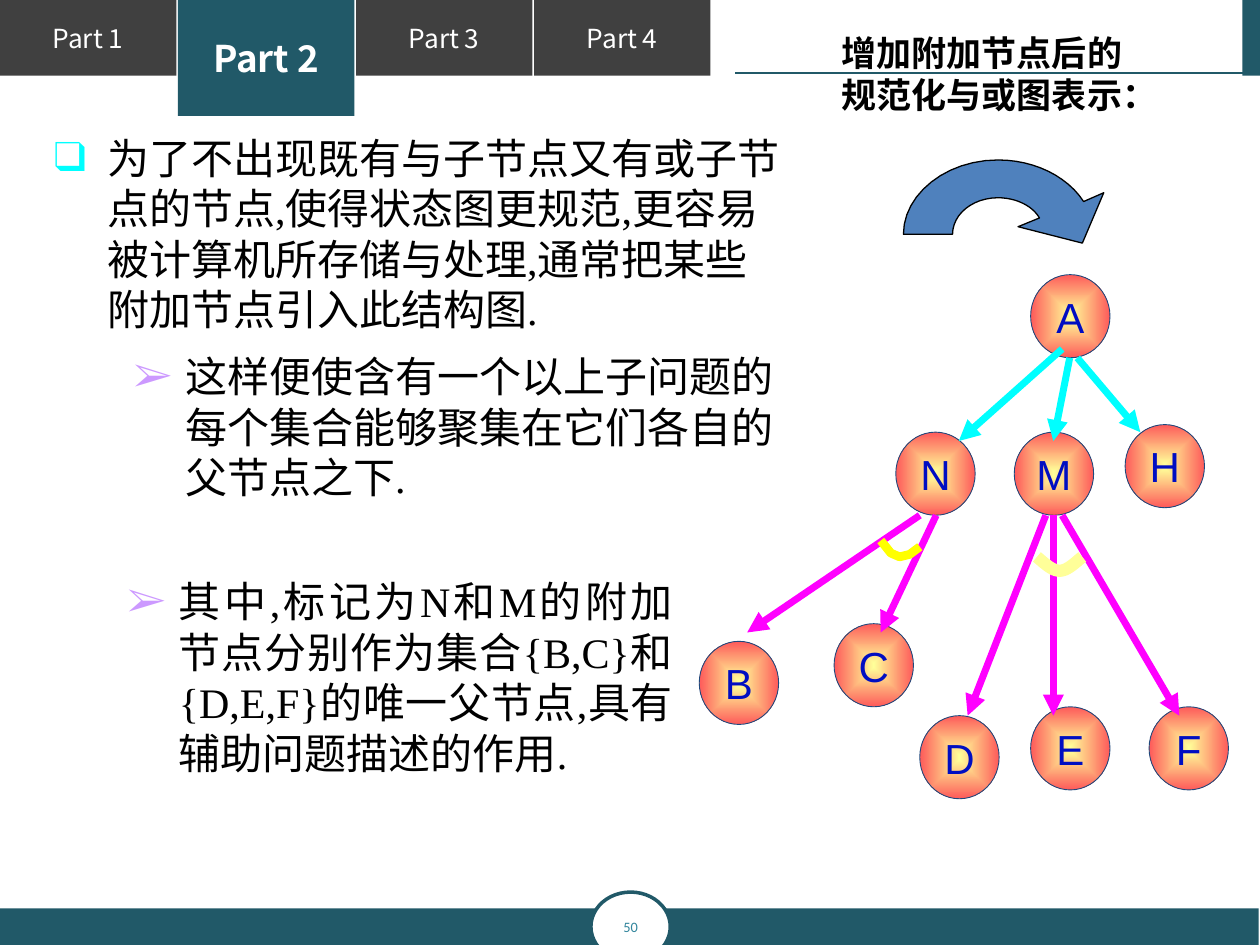
from lxml import etree
from pptx import Presentation
from pptx import util as u
from pptx.dml.color import RGBColor
from pptx.enum import shapes, text
from pptx.oxml.ns import qn

COLORS = {
    "teal": "215968", "gray": "404040", "white": "FFFFFF", "number": "31859C",
    "black": "000000", "cyan": "00FFFF", "violet": "CC99FF", "magenta": "FF00FF",
    "yellow": "FFFF00", "cream": "FFFF99", "coral": "FE5A5A", "navy": "1F497D",
    "label": "000EC2", "arrow": "4F81BD",
}
RGB = {name: RGBColor.from_string(value) for name, value in COLORS.items()}

prs = Presentation()
prs.slide_width, prs.slide_height = u.Inches(10), u.Inches(7.5)
COL = prs.slide_width / 100   # grid of 100 columns
ROW = prs.slide_height / 75   # and 75 rows
s = prs.slides.add_slide(prs.slide_layouts[3])


def add_box(kind, x, y, w, h, fill, label="", size=15, font="Noto Sans CJK SC", color="white"):
    """Add a flat preset shape, placed in columns and rows, with a centred label."""
    sp = s.shapes.add_shape(kind, int(x * COL), int(y * ROW), int(w * COL), int(h * ROW))
    sp.shadow.inherit = False
    sp.fill.solid()
    sp.fill.fore_color.rgb = RGB[fill]
    sp.line.fill.background()
    if label:
        tf = sp.text_frame
        tf.text = label
        tf.vertical_anchor = text.MSO_ANCHOR.MIDDLE
        p = tf.paragraphs[0]
        p.alignment = text.PP_ALIGN.CENTER
        f = p.runs[0].font
        f.size, f.name, f.color.rgb = u.Pt(size), font, RGB[color]
    return sp


def add_path(start, segments, color, width, closed=False):
    """Add an outline of straight (one point) and cubic (three points) segments."""
    points = [start]
    for seg in segments:
        if len(seg) == 1:
            points.append(seg[0])
            continue
        ctrl = (points[-1], *seg)
        for i in range(1, 13):
            t = i / 12
            weights = ((1 - t) ** 3, 3 * t * (1 - t) ** 2, 3 * t * t * (1 - t), t ** 3)
            points.append(tuple(sum(k * c[a] for k, c in zip(weights, ctrl)) for a in (0, 1)))
    points = [(x * COL, y * ROW) for x, y in points]
    fb = s.shapes.build_freeform(*points[0])
    fb.add_line_segments(points[1:], close=closed)
    sp = fb.convert_to_shape()
    sp.shadow.inherit = False
    sp.fill.background()
    sp.line.color.rgb, sp.line.width = RGB[color], u.Pt(width)
    return sp


# Tabs and footer
rect, oval = shapes.MSO_SHAPE.RECTANGLE, shapes.MSO_SHAPE.OVAL
for i in range(4):
    active = i == 1
    tab = add_box(rect, i * 14.13, 0, 14, 9.2 if active else 6,
                  "teal" if active else "gray", f"Part {i + 1}", 21 if active else 15)
    tab.text_frame.paragraphs[0].runs[0].font.bold = active
add_box(rect, 98.6, 0, 1.4, 6, "teal")
add_box(rect, 0, 72.1, 99.9, 2.9, "teal")
badge = add_box(oval, 46.9, 70.8, 6.3, 5.5, "white", "50", 8.2, "Calibri", "number")
badge.line.color.rgb, badge.line.width = RGB["teal"], u.Pt(2)

# Title and lists
title, main, detail = s.placeholders
title.text_frame.text = "增加附加节点后的规范化与或图表示："
main.text_frame.text = (
    "为了不出现既有与子节点又有或子节点的节点,使得状态图更规范,更容易被计算机所存储与处理,通常把某些附加节点引入此结构图.\n"
    "这样便使含有一个以上子问题的每个集合能够聚集在它们各自的父节点之下.")
detail.text_frame.text = (
    "其中,标记为N和M的附加节点分别作为集合{B,C}和{D,E,F}的唯一父节点,具有辅助问题描述的作用.")
main.text_frame.paragraphs[1].level = detail.text_frame.paragraphs[0].level = 1
for sp, x, y, w, h in ((title, 65.8, 2, 25.4, 7.7), (main, 3.3, 10, 60, 38.3),
                       (detail, 2.8, 45.2, 51.6, 20)):
    sp.left, sp.top, sp.width, sp.height = int(x * COL), int(y * ROW), int(w * COL), int(h * ROW)
    tf = sp.text_frame
    tf.word_wrap, tf.auto_size = True, text.MSO_AUTO_SIZE.NONE
    tf.vertical_anchor = text.MSO_ANCHOR.TOP
    for i, p in enumerate(tf.paragraphs):
        p.space_before = u.Pt(9.6 if i else 0)
        p.alignment = text.PP_ALIGN.JUSTIFY if sp is detail else text.PP_ALIGN.LEFT
        if sp is not title:
            left, hang, mark, color = ((1.04, 0.41, "➢", "violet") if p.level
                                       else (0.42, 0.42, "❑", "cyan"))
            pPr = p._p.get_or_add_pPr()
            pPr.set("marL", str(u.Inches(left)))
            pPr.set("indent", str(-u.Inches(hang)))
            clr = etree.SubElement(pPr, qn("a:buClr"))
            etree.SubElement(clr, qn("a:srgbClr"), val=COLORS[color])
            etree.SubElement(pPr, qn("a:buFont"), typeface="Times New Roman")
            etree.SubElement(pPr, qn("a:buChar"), char=mark)
            tabs = etree.SubElement(pPr, qn("a:tabLst"))
            etree.SubElement(tabs, qn("a:tab"), pos=str(u.Inches(1.66)), algn="l")
        f = p.runs[0].font
        f.name = "Calibri" if sp is title else "Times New Roman"
        f.size = u.Pt(20 if sp is title else 24)
        f.bold, f.color.rgb = sp is title, RGB["black"]

# Tree nodes
nodes = {"A": (81.8, 21.8), "N": (71.1, 34.3), "M": (80.5, 34.3), "H": (89.3, 33.7),
         "B": (55.5, 50.9), "C": (66.2, 49.5), "D": (73, 56.8), "E": (81.8, 56.1),
         "F": (91.2, 56.1)}
for name, (x, y) in nodes.items():
    sp = add_box(oval, x, y, 6.3, 6.6, "cream", name, 24, "Arial", "label")
    sp.text_frame.word_wrap = False
    sp.line.color.rgb, sp.line.width = RGB["navy"], u.Pt(0.5)
    sp.fill.gradient()
    for stop, color, position in zip(sp.fill.gradient_stops, ("cream", "coral"), (0, 1)):
        stop.color.rgb, stop.position = RGB[color], position
    grad = sp._element.spPr.find(qn("a:gradFill"))
    grad.remove(grad.find(qn("a:lin")))
    path = etree.SubElement(grad, qn("a:path"), {"path": "shape"})
    etree.SubElement(path, qn("a:fillToRect"), l="50000", t="50000", r="50000", b="50000")

# Header rule and tree edges
edges = [
    (99.3, 5.8, 58.3, 5.8, "teal"),
    (84.9, 28.4, 83.6, 35, "cyan"), (85.5, 28.4, 90.5, 34.3, "cyan"),
    (84.3, 27.7, 76.1, 35, "cyan"),
    (73, 40.9, 59.3, 50.2, "magenta"), (74.3, 40.9, 69.9, 50.2, "magenta"),
    (83, 40.9, 76.8, 56.8, "magenta"), (83.6, 40.9, 83.6, 56.8, "magenta"),
    (84.3, 40.9, 93.6, 56.8, "magenta"),
]
for x1, y1, x2, y2, color in edges:
    edge = s.shapes.add_connector(shapes.MSO_CONNECTOR.STRAIGHT, int(x1 * COL), int(y1 * ROW),
                                  int(x2 * COL), int(y2 * ROW))
    edge.line.color.rgb = RGB[color]
    edge.line.width = u.Pt(0.75 if color == "teal" else 4)
    if color != "teal":
        etree.SubElement(edge.line._get_or_add_ln(), qn("a:tailEnd"), type="triangle")
    etree.SubElement(edge._element.spPr, qn("a:effectLst"))

# "And" arcs and the curved arrow
add_path((69.9, 42.9), [[(70.7, 43.9)], [(71.4, 44.2)], [(72.2, 44)], [(73, 43.4)]], "yellow", 5)
add_path((82.3, 44.2), [[(82.9, 44.7), (83.5, 45.3), (84.1, 45.3)],
                        [(84.7, 45.3), (85.3, 44.7), (85.9, 44.2)]], "cream", 7)
turn = add_path((82.5, 17.3), [
    [(81.9, 16.3), (80.6, 15.7), (79.2, 15.7)], [(77.2, 15.7), (75.6, 17), (75.6, 18.6)],
    [(71.7, 18.6)], [(71.7, 15.4), (75.1, 12.7), (79.2, 12.7)],
    [(82.1, 12.7), (84.7, 14), (86, 16)], [(87.6, 15.3)], [(85.9, 19.3)], [(80.8, 18)],
], "black", 0.75, closed=True)
turn.fill.solid()
turn.fill.fore_color.rgb = RGB["arrow"]

prs.save("out.pptx")
